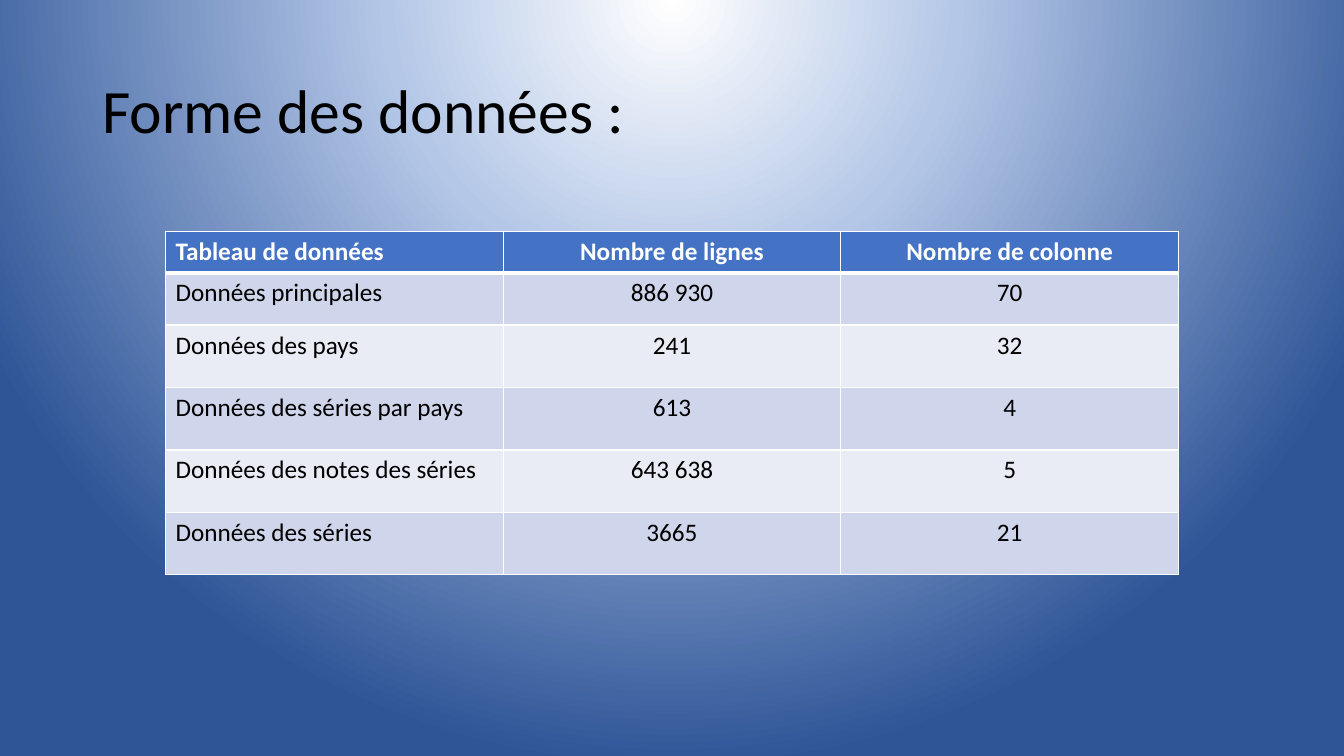
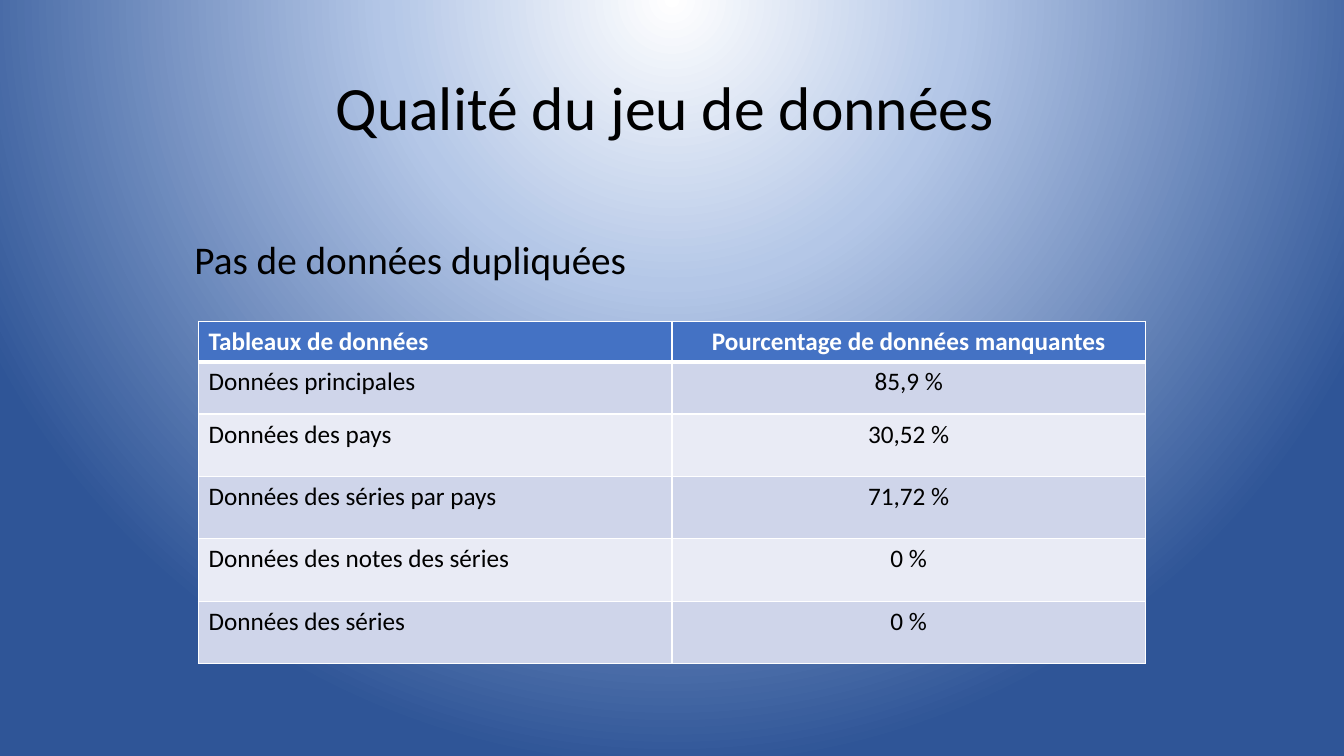
from dataclasses import dataclass

from lxml.etree import SubElement
from pptx import Presentation
from pptx.dml.color import RGBColor
from pptx.enum.text import MSO_ANCHOR as Anchor, MSO_AUTO_SIZE as AutoSize, PP_ALIGN as Align
from pptx.oxml.ns import qn
from pptx.util import Pt

# Shared look
FONT = "Calibri"
BLACK = RGBColor(0x00, 0x00, 0x00)
WHITE = RGBColor(0xFF, 0xFF, 0xFF)
HEADER_BLUE = RGBColor(0x44, 0x72, 0xC4)
BANDS = (RGBColor(0xCF, 0xD5, 0xEA), RGBColor(0xE9, 0xEB, 0xF5))
GLOW = (
    (0, WHITE),
    (37, RGBColor(0xB4, 0xC7, 0xE7)),
    (100, RGBColor(0x2F, 0x55, 0x97)),
)
GLOW_CENTRE = {"l": 50, "t": -80, "r": 50, "b": 180}
TITLE_ONLY = 5
TITLE_HEIGHT = 104.4
ROW_HEIGHTS = (28.8, 37.4, 44.6, 44.6, 44.6, 44.6)
THIN, THICK = 1, 3


@dataclass(frozen=True)
class Box:
    left: float
    top: float
    width: float
    height: float

    def lengths(self) -> tuple:
        return Pt(self.left), Pt(self.top), Pt(self.width), Pt(self.height)


@dataclass(frozen=True)
class DataTable:
    left: float
    top: float
    column_width: float
    rows: tuple


@dataclass(frozen=True)
class Page:
    title: str
    title_box: Box
    table: DataTable
    remark: str = ""
    remark_box: Box | None = None


PAGES = (
    Page(
        "Forme des données :",
        Box(66, 28.8, 828, TITLE_HEIGHT),
        DataTable(118.2, 165.6, 241.2, (
            ("Tableau de données", "Nombre de lignes", "Nombre de colonne"),
            ("Données principales", "886 930", "70"),
            ("Données des pays", "241", "32"),
            ("Données des séries par pays", "613", "4"),
            ("Données des notes des séries", "643 638", "5"),
            ("Données des séries", "3665", "21"),
        )),
    ),
    Page(
        "Qualité du jeu de données",
        Box(232.6, 26.6, 494.6, TITLE_HEIGHT),
        DataTable(141.8, 229.5, 338.2, (
            ("Tableaux de données", "Pourcentage de données manquantes"),
            ("Données principales", "85,9 %"),
            ("Données des pays", "30,52 %"),
            ("Données des séries par pays", "71,72 %"),
            ("Données des notes des séries", "0 %"),
            ("Données des séries", "0 %"),
        )),
        "Pas de données dupliquées",
        Box(131.8, 168.5, 676, 50),
    ),
)


def write_text(frame, text: str, *, size: float, color: RGBColor = BLACK,
               bold: bool = False, align=Align.LEFT, spacing: float = 1.0) -> None:
    frame.word_wrap = True
    paragraph = frame.paragraphs[0]
    paragraph.alignment = align
    paragraph.line_spacing = spacing
    run = paragraph.add_run()
    run.text = text
    run.font.name = FONT
    run.font.size = Pt(size)
    run.font.bold = bold
    run.font.color.rgb = color


def paint_background(master) -> None:
    """Round glow from the top centre, inherited by every slide."""
    master.background.fill.gradient()
    gradient = master.element.find(".//" + qn("a:gradFill"))
    gradient.clear()
    stops = SubElement(gradient, qn("a:gsLst"))
    for position, color in GLOW:
        stop = SubElement(stops, qn("a:gs"), pos=str(position * 1000))
        SubElement(stop, qn("a:srgbClr"), val=str(color))
    circle = SubElement(gradient, qn("a:path"), path="circle")
    edges = {side: str(percent * 1000) for side, percent in GLOW_CENTRE.items()}
    SubElement(circle, qn("a:fillToRect"), **edges)


def add_borders(cell, *, top: float, bottom: float) -> None:
    """Lines must precede the fill, so call this before filling the cell."""
    properties = cell._tc.get_or_add_tcPr()
    for side, width in (("L", THIN), ("R", THIN), ("T", top), ("B", bottom)):
        line = SubElement(properties, qn(f"a:ln{side}"), w=str(Pt(width)))
        fill = SubElement(line, qn("a:solidFill"))
        SubElement(fill, qn("a:srgbClr"), val=str(WHITE))


def add_data_table(slide, data: DataTable) -> None:
    column_count = len(data.rows[0])
    box = Box(data.left, data.top, data.column_width * column_count, sum(ROW_HEIGHTS))
    table = slide.shapes.add_table(len(data.rows), column_count, *box.lengths()).table
    table.horz_banding = False
    for column in table.columns:
        column.width = Pt(data.column_width)
    for r, (values, height) in enumerate(zip(data.rows, ROW_HEIGHTS)):
        table.rows[r].height = Pt(height)
        header = r == 0
        for c, value in enumerate(values):
            cell = table.cell(r, c)
            add_borders(cell, top=THICK if r == 1 else THIN,
                        bottom=THICK if header else THIN)
            cell.fill.solid()
            cell.fill.fore_color.rgb = HEADER_BLUE if header else BANDS[(r - 1) % 2]
            write_text(cell.text_frame, value, size=18, bold=header,
                       color=WHITE if header else BLACK,
                       align=Align.CENTER if c else Align.LEFT)


def add_page(deck, page: Page) -> None:
    slide = deck.slides.add_slide(deck.slide_layouts[TITLE_ONLY])

    # Title
    title = slide.shapes.title
    title.left, title.top, title.width, title.height = page.title_box.lengths()
    title.text_frame.auto_size = AutoSize.NONE
    title.text_frame.vertical_anchor = Anchor.MIDDLE
    write_text(title.text_frame, page.title, size=44, spacing=0.9)

    # Remark above the table
    if page.remark_box:
        remark = slide.shapes.add_textbox(*page.remark_box.lengths())
        write_text(remark.text_frame, page.remark, size=28, spacing=0.9)

    add_data_table(slide, page.table)


def main() -> None:
    deck = Presentation()
    deck.slide_width, deck.slide_height = Pt(960), Pt(540)
    paint_background(deck.slide_master)
    for page in PAGES:
        add_page(deck, page)
    deck.save("out.pptx")


if __name__ == "__main__":
    main()
